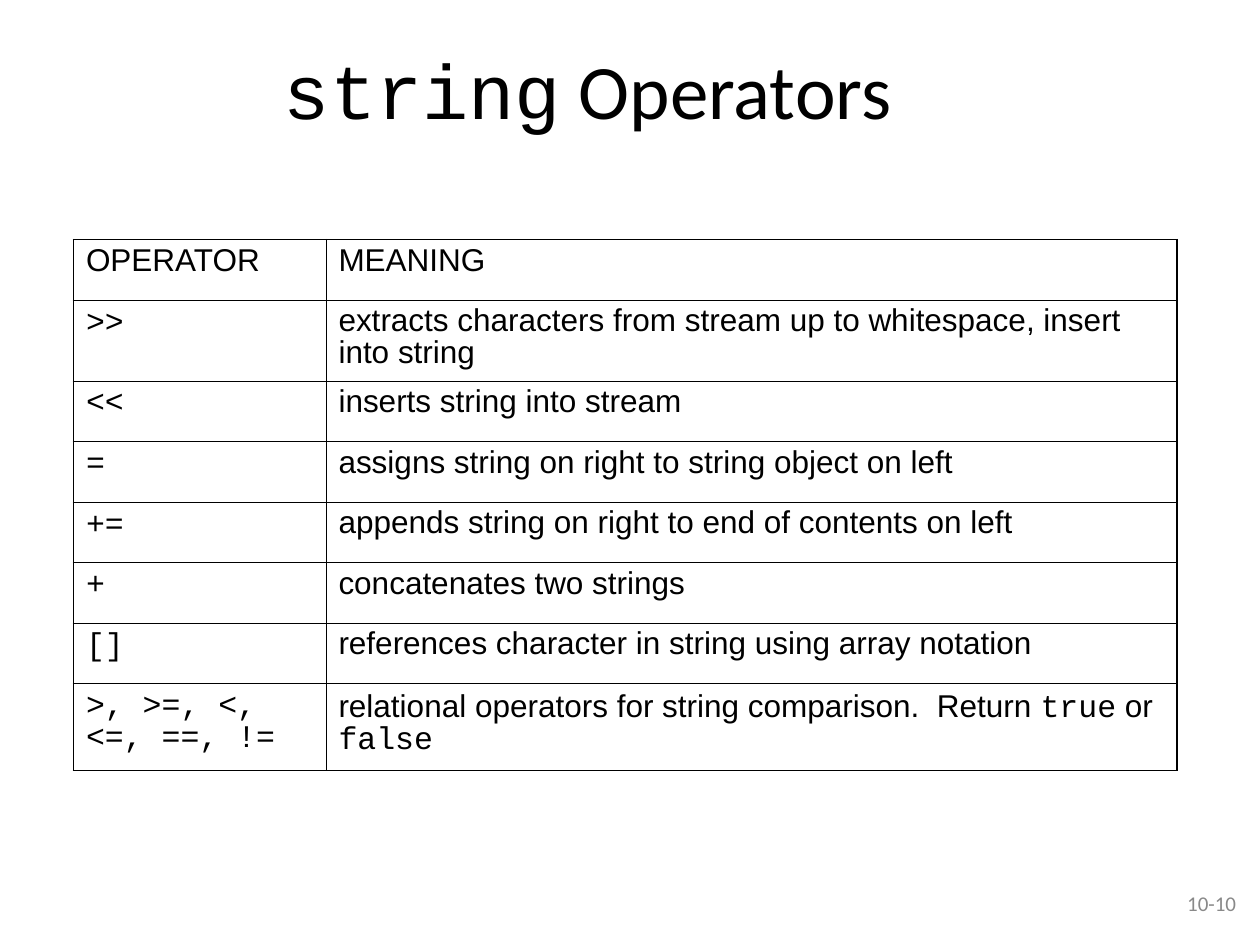
from lxml import etree
from pptx import Presentation
from pptx.dml.color import RGBColor
from pptx.enum.text import MSO_ANCHOR, PP_ALIGN
from pptx.oxml.ns import qn
from pptx.util import Cm, Pt

MIDDLE = MSO_ANCHOR.MIDDLE
CENTER, RIGHT, LEFT = PP_ALIGN.CENTER, PP_ALIGN.RIGHT, PP_ALIGN.LEFT

COLORS = {"text": "000000", "rule": "000000", "number": "898989"}
SANS, MONO, HEAD = "Arial", "Courier New", "Calibri"
THIN, THICK = 0.45, 1.08

HEADER = ("OPERATOR", "MEANING")
OPERATORS = [
    (">>", "extracts characters from stream up to whitespace, insert into string"),
    ("<<", "inserts string into stream"),
    ("=", "assigns string on right to string object on left"),
    ("+=", "appends string on right to end of contents on left"),
    ("+", "concatenates two strings"),
    ("[]", "references character in string using array notation"),
]
RELATIONAL = [[(">, >=, <,", MONO)], [("<=, ==, !=", MONO)]]
RELATIONAL_MEANING = [[
    ("relational operators for string comparison.  Return ", SANS),
    ("true", MONO), (" or ", SANS), ("false", MONO),
]]


class Deck:
    def __init__(self, width, height):
        self.prs = Presentation()
        self.prs.slide_width, self.prs.slide_height = Cm(width), Cm(height)
        self.s = self.prs.slides.add_slide(self.prs.slide_layouts[6])

    def fill_text(self, tf, paragraphs, size, color="text", **formats):
        for i, runs in enumerate(paragraphs):
            p = tf.paragraphs[0] if i == 0 else tf.add_paragraph()
            for name, value in formats.items():
                setattr(p, name, value)
            for text, font in runs:
                r = p.add_run()
                r.text = text
                for name, value in {"name": font, "size": Pt(size), "bold": False}.items():
                    setattr(r.font, name, value)
                r.font.color.rgb = RGBColor.from_string(COLORS[color])

    def text(self, box, runs, size, color="text", align=LEFT):
        sp = self.s.shapes.add_textbox(*map(Cm, box))
        tf = sp.text_frame
        tf.word_wrap = True
        tf.vertical_anchor = MIDDLE
        self.fill_text(tf, [runs], size, color, alignment=align)

    def border(self, cell, side, width):
        ln = etree.SubElement(cell._tc.get_or_add_tcPr(), qn(f"a:ln{side}"), w=str(Pt(width)))
        fill = etree.SubElement(ln, qn("a:solidFill"))
        etree.SubElement(fill, qn("a:srgbClr"), val=COLORS["rule"])

    def table(self, left, top, widths, heights, rows, size):
        frame = self.s.shapes.add_table(
            len(rows), len(widths), Cm(left), Cm(top), Cm(sum(widths)), Cm(sum(heights)))
        table = frame.table
        table.first_row = table.horz_banding = False
        for column, width in zip(table.columns, widths):
            column.width = Cm(width)
        for row, height in zip(table.rows, heights):
            row.height = Cm(height)
        for i, row in enumerate(rows):
            for j, paragraphs in enumerate(row):
                cell = table.cell(i, j)
                edges = {"L": j == 0, "R": j == len(widths) - 1,
                         "T": i == 0, "B": i == len(rows) - 1}
                for side, outer in edges.items():
                    self.border(cell, side, THICK if outer else THIN)
                cell.fill.background()
                self.fill_text(cell.text_frame, paragraphs, size, line_spacing=0.9)


def main():
    deck = Deck(25.4, 19.05)
    deck.text((1.27, 0.2, 21.16, 3.18), [("string", MONO), (" Operators", HEAD)], 44, align=CENTER)
    rows = [[[[(label, SANS)]] for label in HEADER]]
    rows += [[[[(sign, MONO)]], [[(meaning, SANS)]]] for sign, meaning in OPERATORS]
    rows.append([RELATIONAL, RELATIONAL_MEANING])
    heights = [1.22, 1.63] + [1.22] * 5 + [1.75]
    deck.table(1.48, 4.83, (5.09, 17.16), heights, rows, 18)
    deck.text((19.89, 17.58, 5.28, 1.27), [("10-10", HEAD)], 12, "number", RIGHT)
    deck.prs.save("out.pptx")


if __name__ == "__main__":
    main()
